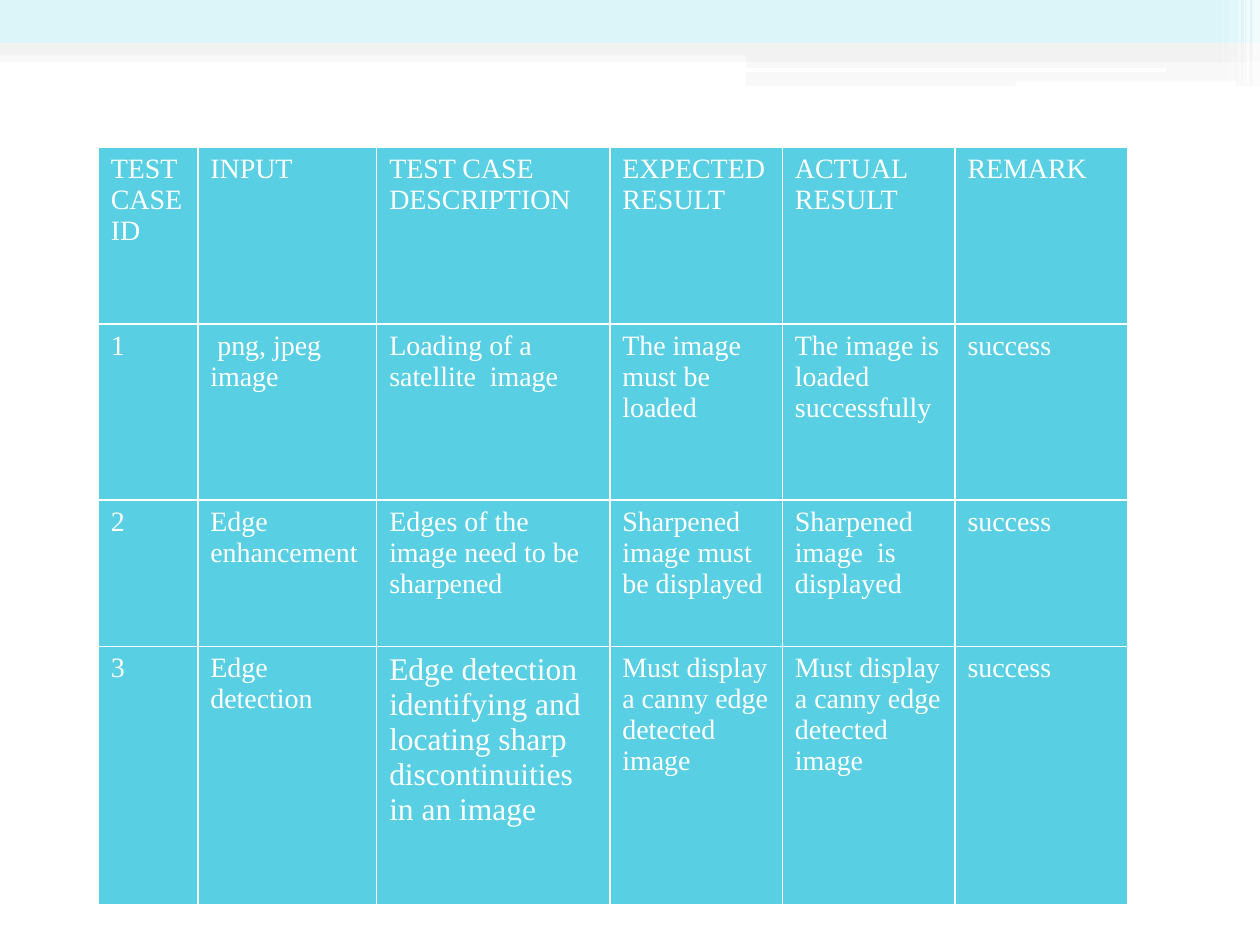
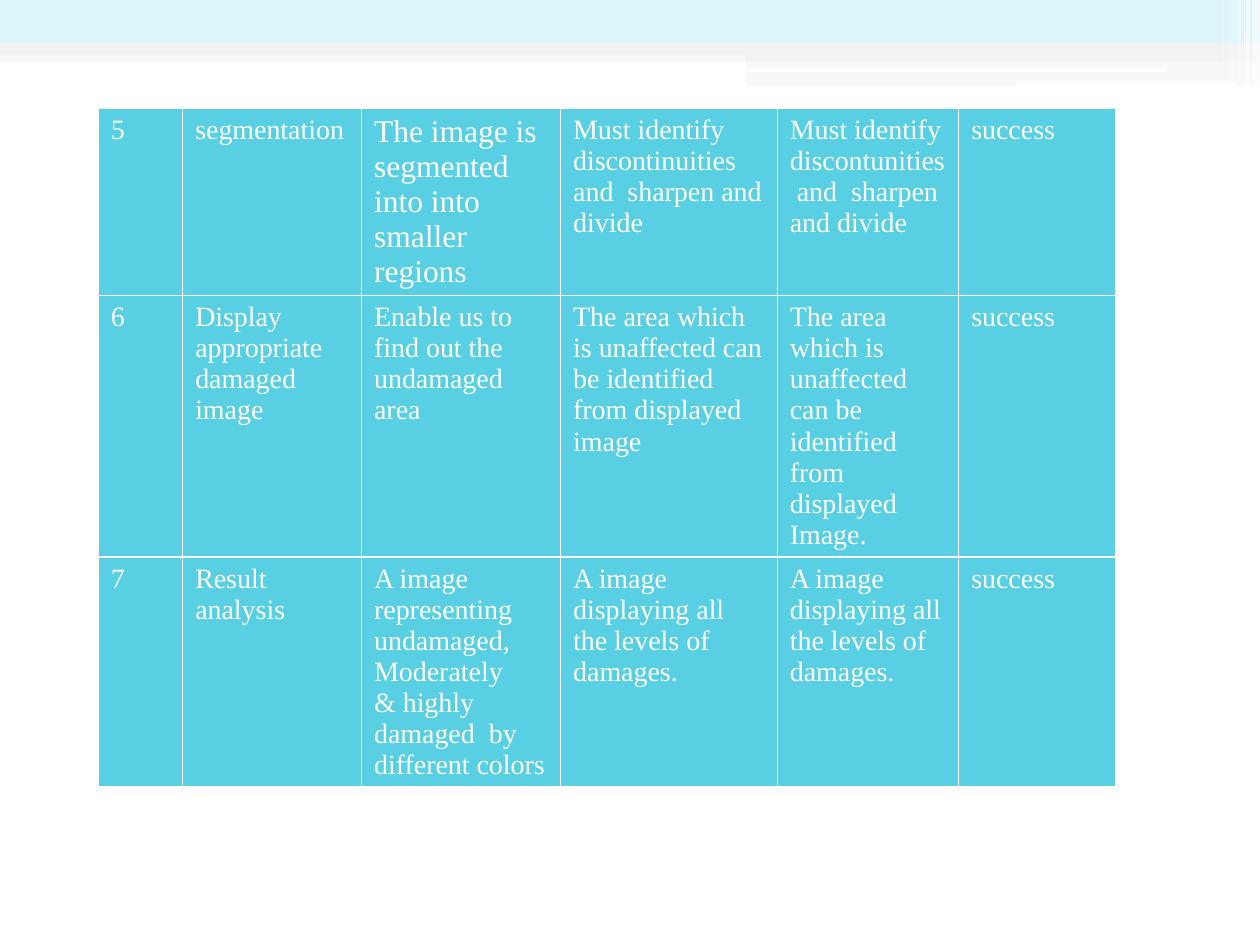
from lxml import etree
from pptx import Presentation
from pptx import util as u
from pptx.dml.color import RGBColor
from pptx.enum import shapes
from pptx.oxml.ns import qn

PX = 9144  # 100 px to the inch
WIDE, HIGH = 1000, 750
FONT = "Times New Roman"
SIZE, LARGE = 16, 18
HEX = {"sky": "DBF5F9", "grey": "F2F2F2", "white": "FFFFFF", "cell": "58CFE3"}

# left, top, width, height, colour, opacity in percent
BANDS = [
    (0, 40, 1000, 9, "grey", 50),
    (0, 0, 1000, 34, "sky", 100),
    (0, 34, 1000, 10, "grey", 100),
    (592, 39, 408, 10, "grey", 100),
    (592, 48, 408, 20, "grey", 50),
]
PILLS = [(591, 54, 335, 3, "white", 100), (806, 64, 175, 4, "white", 100)]
# left, width, height, opacity in percent
STRIPES = [(994, 6, 68, 65), (989, 3, 68, 65), (987, 1, 68, 60),
           (982, 3, 68, 40), (975, 6, 64, 20), (970, 1, 64, 30)]

TESTS = [
    {
        "box": (78, 117, 816, 602),
        "cols": (79, 142, 185, 137, 137, 137),
        "rows": (140, 140, 116, 205),
        "large": (3, 2),
        "text": [
            ("TEST\nCASE\nID", "INPUT", "TEST CASE DESCRIPTION",
             "EXPECTED RESULT", "ACTUAL RESULT", "REMARK"),
            ("1", " png, jpeg image", "Loading of a satellite  image",
             "The image must be loaded", "The image is loaded successfully",
             "success"),
            ("2", "Edge enhancement", "Edges of the image need to be sharpened",
             "Sharpened image must be displayed",
             "Sharpened image  is displayed", "success"),
            ("3", "Edge detection",
             "Edge detection\nidentifying and locating sharp "
             "discontinuities in an image",
             "Must display a canny edge detected image",
             "Must display a canny edge detected image", "success"),
        ],
    },
    {
        "box": (78, 86, 808, 580),
        "cols": (67, 142, 158, 172, 144, 125),
        "rows": (141, 131, 131),
        "large": (0, 2),
        "text": [
            ("5", "segmentation",
             "The image is segmented into into smaller regions",
             "Must identify discontinuities  and  sharpen and divide",
             "Must identify discontunities  and  sharpen and divide",
             "success"),
            ("6", "Display appropriate damaged  image",
             "Enable us to find out the undamaged area",
             "The area which is unaffected can be identified from displayed"
             "\nimage",
             "The area which is unaffected can be identified from displayed"
             "\nImage.", "success"),
            ("7", "Result analysis",
             "A image representing  undamaged,\nModerately\n"
             "& highly damaged  by different colors",
             "A image displaying all the levels of damages.",
             "A image displaying all the levels of damages.", "success"),
        ],
    },
]


def tint(name):
    return RGBColor.from_string(HEX[name])


def block(slide, kind, box, name, alpha):
    shape = slide.shapes.add_shape(kind, *(n * PX for n in box))
    shape.shadow.inherit = False
    shape.line.fill.background()
    shape.fill.solid()
    shape.fill.fore_color.rgb = tint(name)
    if alpha < 100:
        clr = shape._element.spPr.find(qn("a:solidFill")).find(qn("a:srgbClr"))
        etree.SubElement(clr, qn("a:alpha"), val=str(alpha * 1000))


def header(slide, left, top):
    rect = shapes.MSO_SHAPE.RECTANGLE
    pill = shapes.MSO_SHAPE.ROUNDED_RECTANGLE
    strips = [(x, 0, w, h, "white", a) for x, w, h, a in STRIPES]
    for kind, parts in ((rect, BANDS), (pill, PILLS), (rect, strips)):
        for x, y, w, h, name, alpha in parts:
            block(slide, kind, (left + x, top + y, w, h), name, alpha)


def border(cell):
    props = cell._tc.get_or_add_tcPr()
    for side in ("lnL", "lnR", "lnT", "lnB"):
        line = etree.SubElement(props, qn("a:" + side), w=str(u.Pt(1)))
        fill = etree.SubElement(line, qn("a:solidFill"))
        etree.SubElement(fill, qn("a:srgbClr"), val=HEX["white"])


def style(cell, size):
    border(cell)
    cell.fill.solid()
    cell.fill.fore_color.rgb = tint("cell")
    form = {"name": FONT, "size": u.Pt(size), "bold": False}
    for para in cell.text_frame.paragraphs:
        for run in para.runs:
            for key, value in form.items():
                setattr(run.font, key, value)
            run.font.color.rgb = tint("white")


def grid(slide, box, cols, rows, large, text):
    frame = slide.shapes.add_table(len(rows), len(cols), *(n * PX for n in box))
    table = frame.table
    for col, width in zip(table.columns, cols):
        col.width = width * PX
    for row, height in zip(table.rows, rows):
        row.height = height * PX
    frame.height = box[3] * PX
    for r, line in enumerate(text):
        for c, words in enumerate(line):
            cell = table.cell(r, c)
            cell.text = words
            style(cell, LARGE if (r, c) == large else SIZE)


def main():
    deck = Presentation()
    deck.slide_width, deck.slide_height = WIDE * PX, HIGH * PX
    for test in TESTS:
        slide = deck.slides.add_slide(deck.slide_layouts[6])
        header(slide, 0, 0)
        grid(slide, **test)
    deck.save("out.pptx")


if __name__ == "__main__":
    main()
